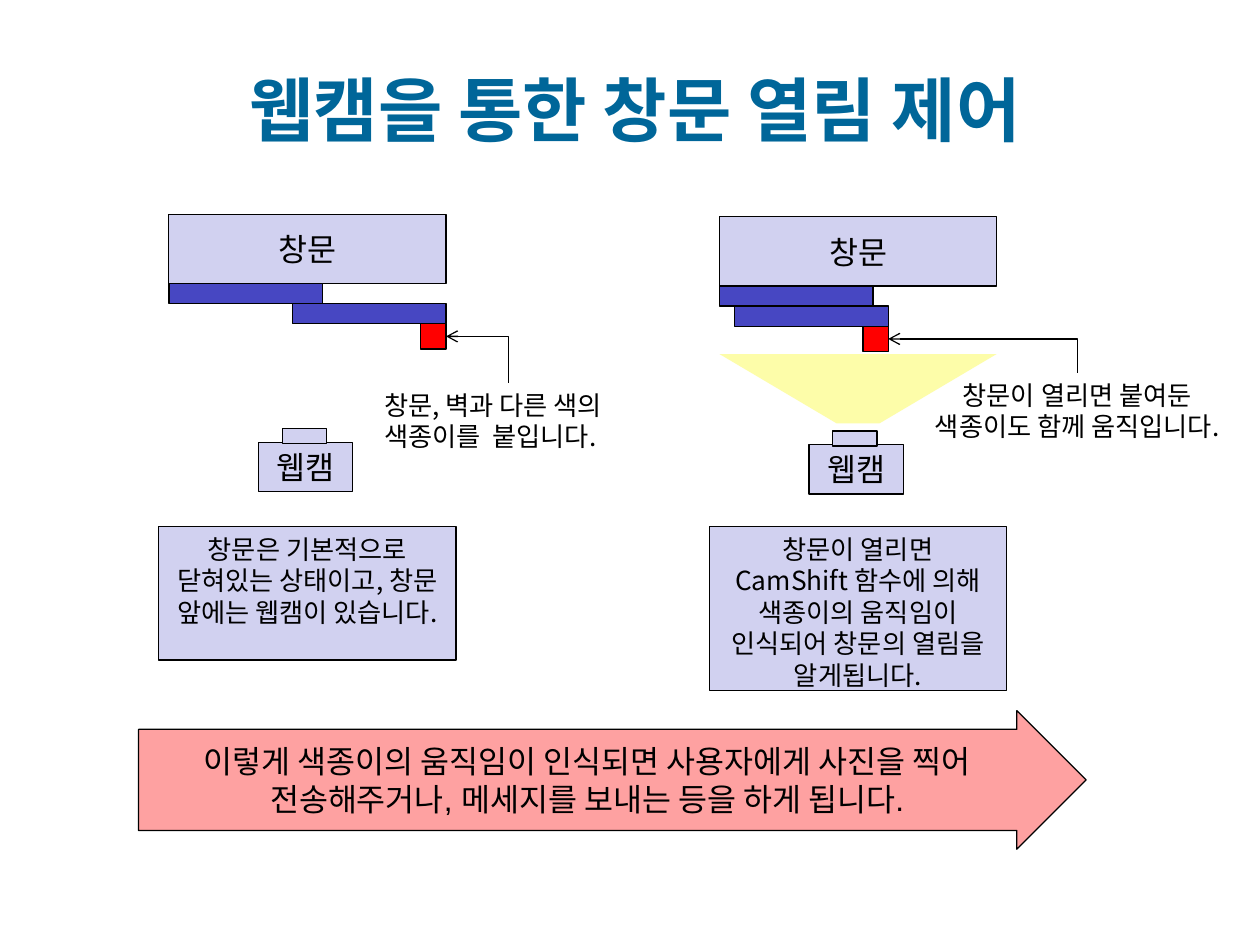
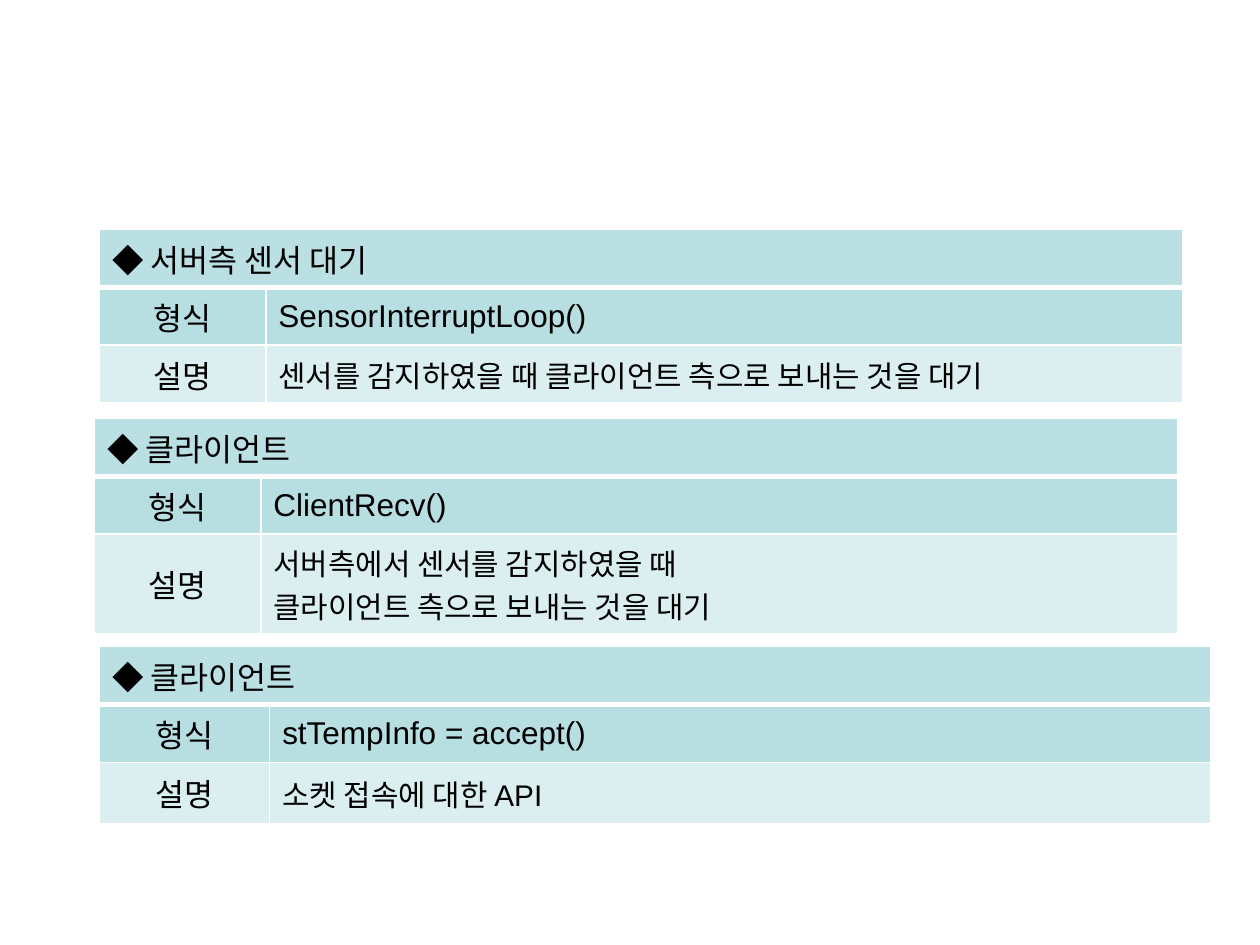
from lxml import etree
from pptx import Presentation
from pptx.dml.color import RGBColor
from pptx.enum.shapes import MSO_CONNECTOR, MSO_SHAPE
from pptx.enum.text import MSO_ANCHOR, PP_ALIGN
from pptx.oxml.ns import qn
from pptx.util import Pt

PX = 9144
RECTANGLE = MSO_SHAPE.RECTANGLE
TRAPEZOID = MSO_SHAPE.TRAPEZOID
RIGHT_ARROW = MSO_SHAPE.RIGHT_ARROW
ELBOW = MSO_CONNECTOR.ELBOW
LEFT, CENTER = PP_ALIGN.LEFT, PP_ALIGN.CENTER
TOP, MIDDLE = MSO_ANCHOR.TOP, MSO_ANCHOR.MIDDLE
TOP_SIDE, RIGHT_SIDE = 0, 3

BLACK = RGBColor(0x00, 0x00, 0x00)
TITLE_BLUE = RGBColor(0x00, 0x66, 0x99)
LAVENDER = RGBColor(0xD1, 0xD1, 0xF0)
SASH_BLUE = RGBColor(0x47, 0x47, 0xC2)
PAPER_RED = RGBColor(0xFF, 0x00, 0x00)
ARROW_PINK = RGBColor(0xFE, 0xA1, 0xA1)
BEAM_YELLOW = RGBColor(0xFD, 0xFD, 0xA9)
HEADER_TEAL = RGBColor(0xBB, 0xE0, 0xE3)
FORM_TEAL = RGBColor(0xB7, 0xDE, 0xE1)
NOTE_TEAL = RGBColor(0xDB, 0xEF, 0xF0)
BODY_FONT, TITLE_FONT, NOTE_FONT = "Arial", "League Spartan", "Noto Sans CJK KR"

TITLE = "웹캠을 통한 창문 열림 제어"
CONCLUSION = "이렇게 색종이의 움직임이 인식되면 사용자에게 사진을 찍어 전송해주거나, 메세지를 보내는 등을 하게 됩니다."
SCENES = [
    {
        "origin": (134, 170), "sash_shift": 98, "beam": False,
        "label": "창문, 벽과 다른 색의 색종이를  붙입니다.",
        "label_area": (295, 304, 217, 67), "label_align": LEFT,
        "caption": ["창문은 기본적으로 닫혀있는 상태이고, 창문 앞에는 웹캠이 있습니다."],
        "caption_height": 106,
    },
    {
        "origin": (571, 172), "sash_shift": 12, "beam": True,
        "label": "창문이 열리면 붙여둔 색종이도 함께 움직입니다.",
        "label_area": (721, 296, 268, 67), "label_align": CENTER,
        "caption": ["창문이 열리면", "CamShift 함수에 의해",
                    "색종이의 움직임이 인식되어 창문의 열림을 알게됩니다."],
        "caption_height": 130,
    },
]
ROW_HEIGHT = 46
FUNCTIONS = [
    {
        "place": (79, 182), "columns": (132, 728), "note_height": 46,
        "heading": "◆ 서버측 센서 대기", "form": "SensorInterruptLoop()",
        "note": ["센서를 감지하였을 때 클라이언트 측으로 보내는 것을 대기"],
    },
    {
        "place": (75, 332), "columns": (132, 728), "note_height": 79,
        "heading": "◆ 클라이언트", "form": "ClientRecv()",
        "note": ["서버측에서 센서를 감지하였을 때", "클라이언트 측으로 보내는 것을 대기"],
    },
    {
        "place": (79, 513), "columns": (135, 747), "note_height": 49,
        "heading": "◆ 클라이언트", "form": "stTempInfo = accept()",
        "note": ["소켓 접속에 대한 API"],
    },
]


def scaled(*lengths):
    return [length * PX for length in lengths]


def write(frame, lines, size=18, font=BODY_FONT, color=BLACK, bold=False, align=CENTER):
    for index, line in enumerate(lines):
        para = frame.paragraphs[0] if index == 0 else frame.add_paragraph()
        para.alignment = align
        span = para.add_run()
        span.text = line
        span.font.size = Pt(size)
        span.font.name = font
        span.font.bold = bold
        span.font.color.rgb = color


def add_text(page, area, text, anchor=TOP, **style):
    box = page.shapes.add_textbox(*scaled(*area))
    box.text_frame.word_wrap = True
    box.text_frame.vertical_anchor = anchor
    write(box.text_frame, [text], **style)
    return box


def add_block(page, area, fill, lines=(), kind=RECTANGLE, outlined=True, anchor=MIDDLE, **style):
    block = page.shapes.add_shape(kind, *scaled(*area))
    block.shadow.inherit = False
    block.fill.solid()
    block.fill.fore_color.rgb = fill
    if outlined:
        block.line.color.rgb = BLACK
        block.line.width = Pt(0.75)
    else:
        block.line.fill.background()
    block.text_frame.word_wrap = True
    block.text_frame.vertical_anchor = anchor
    write(block.text_frame, lines, **style)
    return block


def point_label_at_paper(page, paper, label):
    pointer = page.shapes.add_connector(ELBOW, 0, 0, 0, 0)
    pointer.begin_connect(paper, RIGHT_SIDE)
    pointer.end_connect(label, TOP_SIDE)
    pointer.line.color.rgb = BLACK
    pointer.line.width = Pt(0.75)
    properties = pointer._element.spPr
    properties.find(qn("a:prstGeom")).set("prst", "bentConnector2")
    etree.SubElement(properties.find(qn("a:ln")), qn("a:headEnd"), type="arrow")
    etree.SubElement(properties, qn("a:effectLst"))


def draw_scene(page, scene):
    left, top = scene["origin"]
    sash_left = left + scene["sash_shift"]
    if scene["beam"]:
        beam = add_block(page, (left, top + 109, 220, 55), BEAM_YELLOW,
                         kind=TRAPEZOID, outlined=False)
        beam.adjustments[0] = 1.69
        beam.rotation = 180
    add_block(page, (left, top, 220, 55), LAVENDER, ["창문"])
    add_block(page, (left, top + 55, 122, 16), SASH_BLUE)
    add_block(page, (sash_left, top + 71, 122, 16), SASH_BLUE)
    add_block(page, (left + 71, top + 181, 75, 39), LAVENDER, ["웹캠"])
    add_block(page, (left + 90, top + 170, 35, 12), LAVENDER)
    paper = add_block(page, (sash_left + 102, top + 87, 20, 20), PAPER_RED)
    label = add_text(page, scene["label_area"], scene["label"], size=15,
                     font=NOTE_FONT, align=scene["label_align"])
    point_label_at_paper(page, paper, label)
    add_block(page, (left - 8, 418, 236, scene["caption_height"]), LAVENDER,
              scene["caption"], anchor=TOP, size=15, font=NOTE_FONT)


def draw_borders(cell, **widths):
    properties = cell._tc.get_or_add_tcPr()
    for side in "LRTB":
        border = etree.SubElement(properties, qn(f"a:ln{side}"), w=str(Pt(widths.get(side, 1))))
        fill = etree.SubElement(border, qn("a:solidFill"))
        etree.SubElement(fill, qn("a:srgbClr"), val="FFFFFF")


def add_function_table(page, function):
    columns = function["columns"]
    heights = (ROW_HEIGHT, ROW_HEIGHT, function["note_height"])
    area = scaled(*function["place"], sum(columns), sum(heights))
    table = page.shapes.add_table(len(heights), len(columns), *area).table
    table.first_row = table.horz_banding = False
    for column, width in zip(table.columns, columns):
        column.width = width * PX
    rows = [
        (HEADER_TEAL, {"B": 3}, [function["heading"]], []),
        (FORM_TEAL, {"T": 3}, ["형식"], [function["form"]]),
        (NOTE_TEAL, {}, ["설명"], function["note"]),
    ]
    for index, (fill, borders, *texts) in enumerate(rows):
        table.rows[index].height = heights[index] * PX
        for position, lines in enumerate(texts):
            cell = table.cell(index, position)
            draw_borders(cell, **borders)
            cell.fill.solid()
            cell.fill.fore_color.rgb = fill
            cell.vertical_anchor = MIDDLE
            write(cell.text_frame, lines, size=17 if index == 2 and position == 1 else 18,
                  align=CENTER if index and position == 0 else LEFT)
    table.cell(0, 0).merge(table.cell(0, 1))


def main():
    deck = Presentation()
    deck.slide_width, deck.slide_height = scaled(1000, 750)
    blank = deck.slide_layouts[6]

    window_page = deck.slides.add_slide(blank)
    add_text(window_page, (58, 30, 892, 112), TITLE, anchor=MIDDLE, size=40,
             font=TITLE_FONT, color=TITLE_BLUE, bold=True)
    arrow = add_block(window_page, (110, 564, 752, 110), ARROW_PINK, [CONCLUSION],
                      kind=RIGHT_ARROW)
    arrow.adjustments[0] = 0.73
    for scene in SCENES:
        draw_scene(window_page, scene)

    function_page = deck.slides.add_slide(blank)
    for function in FUNCTIONS:
        add_function_table(function_page, function)

    deck.save("out.pptx")


if __name__ == "__main__":
    main()
